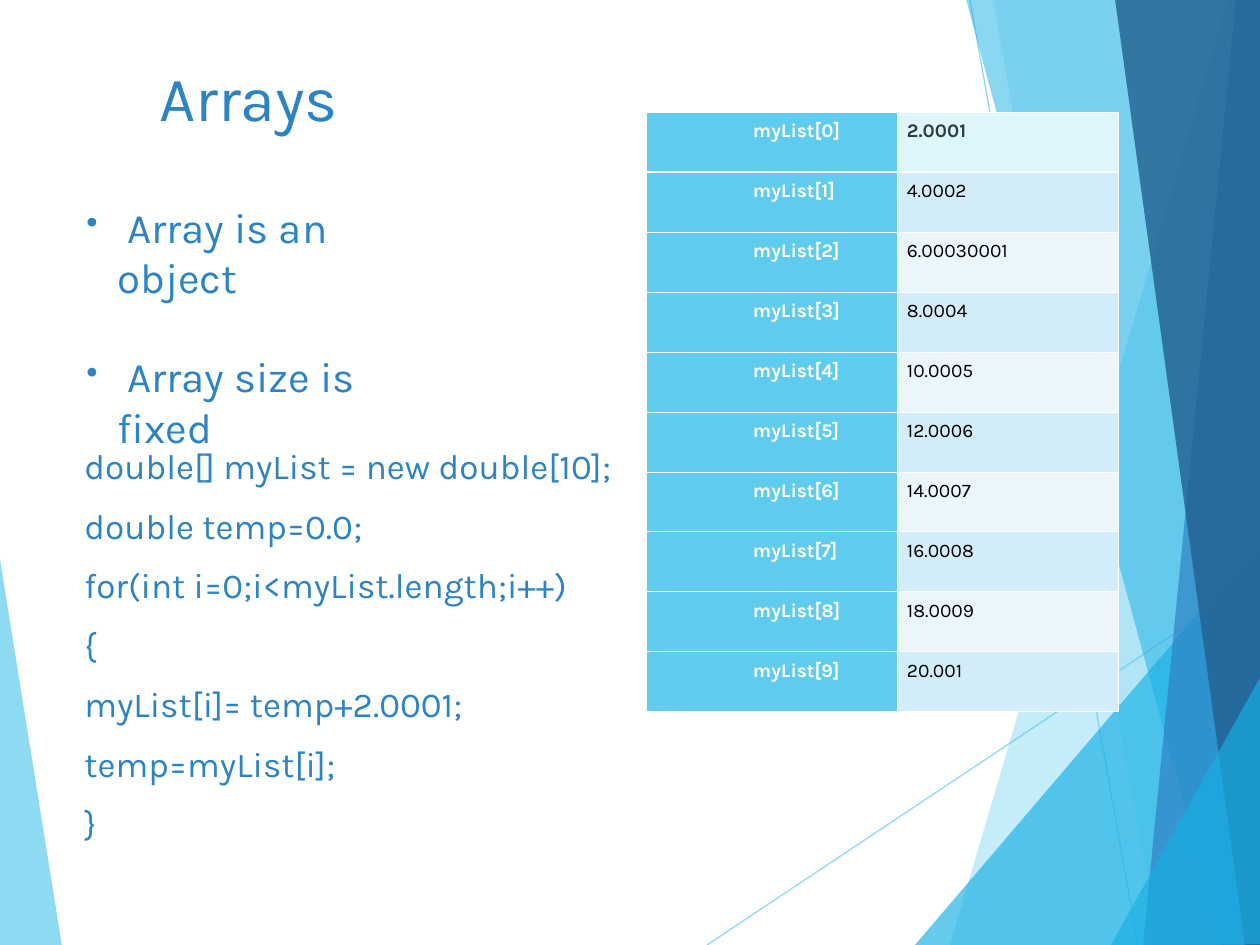
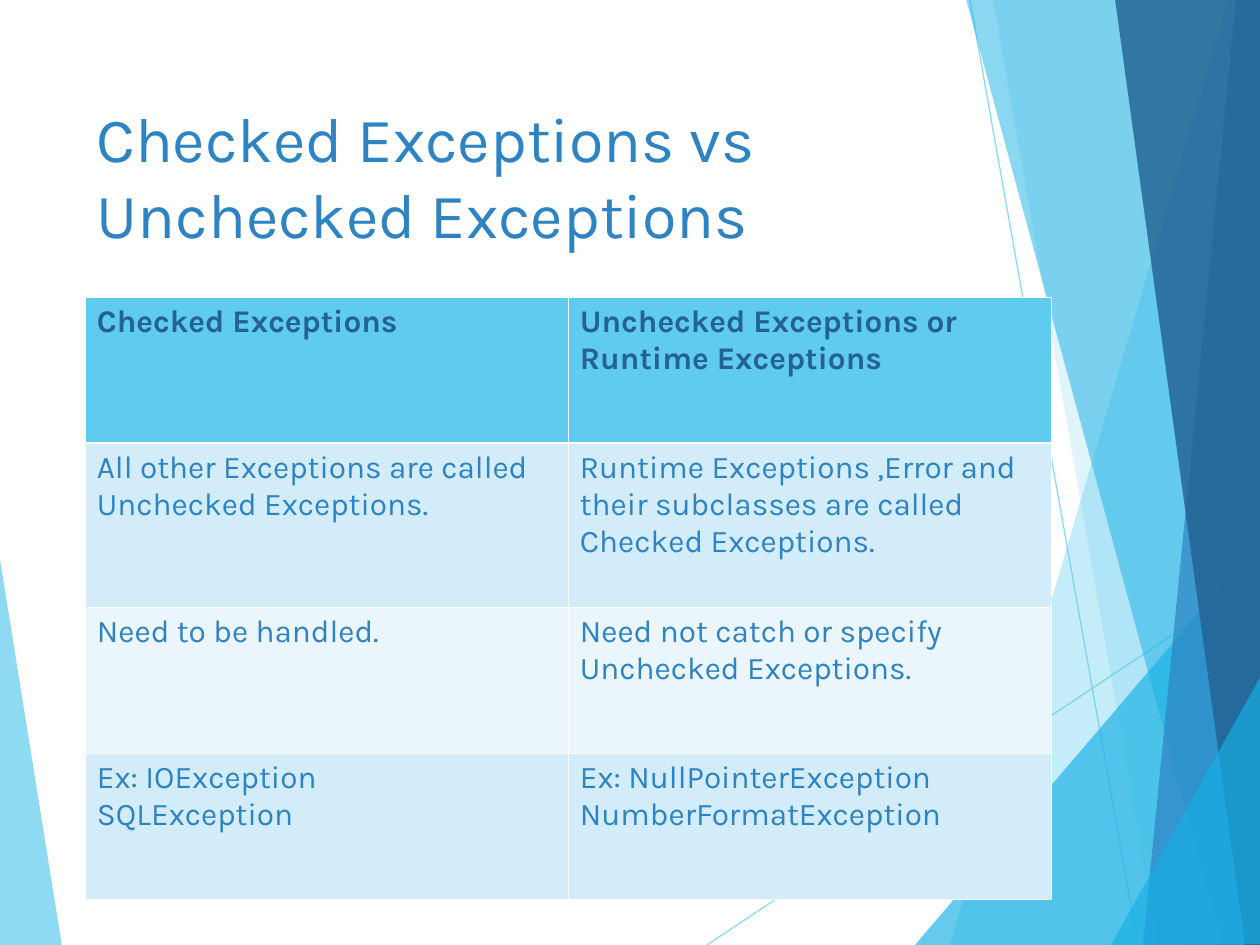
from pptx import Presentation
from pptx.dml.color import RGBColor
from pptx.enum.shapes import MSO_CONNECTOR
from pptx.enum.text import MSO_ANCHOR
from pptx.oxml.ns import qn
from pptx.util import Pt
from lxml import etree

STRAIGHT = MSO_CONNECTOR.STRAIGHT
TOP, MIDDLE, BOTTOM = MSO_ANCHOR.TOP, MSO_ANCHOR.MIDDLE, MSO_ANCHOR.BOTTOM
SCALE = 914400 / 126  # EMU in one px


class Theme:
    font = "Karla"
    sky, cyan, blue, navy = "5FCBEF", "17B0E4", "2E83C3", "236292"
    white, black, slate = "FFFFFF", "000000", "2C3C43"
    pale, band_dark, band_light = "DFF5FC", "D2ECF9", "EAF6FC"
    title, bullet, code, table, small = 36, 24, 20, 18, 11
    thin, thick, ray = 0.45, 1.47, 0.75


# Shared backdrop: (colour, opacity %, outline), back to front
LEFT_WING = (Theme.sky, 70, [(-1, 553), (62, 946), (-1, 945)])
RAYS = [((707, 945), (1261, 576)), ((970, 0), (1138, 945))]
RAY_OPACITY = 70
RIGHT_FACETS = [
    (Theme.sky, 36, [(1228, 0), (950, 945), (1262, 946), (1261, 1)]),
    (Theme.sky, 20, [(993, -1), (1158, 945), (1261, 945), (1261, -1)]),
    (Theme.cyan, 66, [(915, 945), (1260, 541), (1261, 945)]),
    (Theme.cyan, 50, [(966, -1), (1222, 945), (1261, 944), (1261, -1)]),
    (Theme.blue, 70, [(1236, -1), (1143, 945), (1261, 945), (1260, -1)]),
    (Theme.navy, 82, [(1115, -1), (1245, 945), (1262, 945), (1260, -1)]),
    (Theme.cyan, 66, [(1111, 945), (1262, 674), (1262, 944)]),
]

# Slide 1
ARRAY_FACTS = [" Array is an object", " Array size is fixed"]
ARRAY_CODE = [
    "double[] myList = new double[10];",
    "double temp=0.0;",
    "for(int i=0;i<myList.length;i++)",
    "{",
    "myList[i]= temp+2.0001;",
    "temp=myList[i];",
    "}",
]
ARRAY_VALUES = ["2.0001", "4.0002", "6.00030001", "8.0004", "10.0005",
                "12.0006", "14.0007", "16.0008", "18.0009", "20.001"]

# Slide 2
EXCEPTIONS = [
    ("Checked Exceptions", "Unchecked Exceptions or Runtime Exceptions"),
    ("All other Exceptions are called Unchecked Exceptions.",
     "Runtime Exceptions ,Error and their subclasses are called Checked Exceptions."),
    ("Need to be handled.", "Need not catch or specify Unchecked Exceptions."),
    ("Ex: IOException\nSQLException",
     "Ex: NullPointerException\nNumberFormatException"),
]


def px(n):
    return round(n * SCALE)


def rgb(color):
    return RGBColor.from_string(color)


def style(p, size, color, bold=False):
    f = p.font
    f.name, f.size, f.bold = Theme.font, Pt(size), bold
    f.color.rgb = rgb(color)


def set_alpha(s, percent):
    color = next(s.element.spPr.iter(qn("a:srgbClr")))
    etree.SubElement(color, qn("a:alpha"), val=str(percent * 1000))


def add_facet(slide, color, opacity, points):
    builder = slide.shapes.build_freeform(*points[0], scale=SCALE)
    builder.add_line_segments(points[1:], close=True)
    s = builder.convert_to_shape()
    s.shadow.inherit = False
    s.fill.solid()
    s.fill.fore_color.rgb = rgb(color)
    s.line.fill.background()
    set_alpha(s, opacity)


def add_ray(slide, start, end):
    s = slide.shapes.add_connector(STRAIGHT, *map(px, start + end))
    s.line.color.rgb = rgb(Theme.sky)
    s.line.width = Pt(Theme.ray)
    set_alpha(s, RAY_OPACITY)
    etree.SubElement(s.element.spPr, qn("a:effectLst"))


def move_backdrop_to_layout(slide, layout):
    """Draw the backdrop once and let every slide inherit it."""
    for ph in list(layout.placeholders):
        layout.shapes.element.remove(ph.element)
    add_facet(slide, *LEFT_WING)
    for start, end in RAYS:
        add_ray(slide, start, end)
    for facet in RIGHT_FACETS:
        add_facet(slide, *facet)
    for s in list(slide.shapes):
        layout.shapes.element.append(s.element)


def add_text(slide, box, lines, size, anchor=TOP, gap=0, wrap=True):
    tf = slide.shapes.add_textbox(*map(px, box)).text_frame
    tf.word_wrap, tf.vertical_anchor = wrap, anchor
    tf.text = "\n".join(lines)
    for i, p in enumerate(tf.paragraphs):
        style(p, size, Theme.blue)
        if i:
            p.space_before = Pt(gap)
    return tf


def add_title(slide, box, text):
    add_text(slide, box, [text], Theme.title, MIDDLE)


def add_bullet(p, hang):
    pPr = p._p.get_or_add_pPr()
    pPr.set("marL", str(px(hang)))
    pPr.set("indent", str(-px(hang)))
    color = etree.Element(qn("a:buClr"))
    etree.SubElement(color, qn("a:srgbClr"), val=Theme.blue)
    size = etree.Element(qn("a:buSzPct"), val="80000")
    char = etree.Element(qn("a:buChar"), char="•")
    at = next((i for i, el in enumerate(pPr) if el.tag == qn("a:defRPr")), len(pPr))
    pPr[at:at] = [color, size, char]


def set_borders(cell, row):
    """White rules, with a thicker one under the first row."""
    widths = {"lnL": Theme.thin, "lnR": Theme.thin,
              "lnT": Theme.thick if row == 1 else Theme.thin,
              "lnB": Theme.thick if row == 0 else Theme.thin}
    tcPr = cell._tc.get_or_add_tcPr()
    for tag, width in widths.items():
        ln = etree.SubElement(tcPr, qn(f"a:{tag}"), w=str(Pt(width)))
        fill = etree.SubElement(ln, qn("a:solidFill"))
        etree.SubElement(fill, qn("a:srgbClr"), val=Theme.white)


def add_table(slide, at, col_widths, row_heights, rows, size, look, margin):
    """look(row, col) gives the fill, text colour and weight of a cell."""
    box = (*at, sum(col_widths), sum(row_heights))
    table = slide.shapes.add_table(
        len(rows), len(col_widths), *map(px, box)).table
    for col, width in zip(table.columns, col_widths):
        col.width = px(width)
    for row, height in zip(table.rows, row_heights):
        row.height = px(height)
    for r, texts in enumerate(rows):
        for c, text in enumerate(texts):
            cell = table.cell(r, c)
            fill, color, bold = look(r, c)
            set_borders(cell, r)
            cell.fill.solid()
            cell.fill.fore_color.rgb = rgb(fill)
            cell.margin_left = cell.margin_right = px(margin)
            cell.text = text
            for p in cell.text_frame.paragraphs:
                style(p, size, color, bold)
    return table


def band(row):
    return Theme.band_dark if row % 2 else Theme.band_light


def array_look(row, col):
    if col == 0:
        return Theme.sky, Theme.white, True
    if row == 0:
        return Theme.pale, Theme.slate, True
    return band(row), Theme.black, False


def exception_look(row, col):
    if row == 0:
        return Theme.sky, Theme.navy, True
    return band(row), Theme.blue, False


def build_arrays(slide):
    add_title(slide, (147, 44, 1071, 105), "Arrays")
    facts = add_text(slide, (74, 195, 389, 164), ARRAY_FACTS, Theme.bullet, gap=28)
    for p in facts.paragraphs:
        add_bullet(p, hang=31)
    add_text(slide, (72, 379, 583, 471), ARRAY_CODE, Theme.code, BOTTOM,
             gap=10, wrap=False)

    rows = [(f"myList[{i}]", value) for i, value in enumerate(ARRAY_VALUES)]
    table = add_table(slide, (646, 112), (251, 221), [60] * len(rows), rows,
                      Theme.small, array_look, margin=10)
    for cell in table.iter_cells():
        cell.text_frame.paragraphs[0].line_spacing = 1.07
    for r in range(len(rows)):
        p = table.cell(r, 0).text_frame.paragraphs[0]
        p._p.get_or_add_pPr().set("marL", str(px(97)))


def build_exceptions(slide):
    add_title(slide, (84, 84, 874, 182),
              "Checked Exceptions vs Unchecked Exceptions")
    add_table(slide, (85, 297), (483, 483), (146, 164, 146, 146), EXCEPTIONS,
              Theme.table, exception_look, margin=12)


def main():
    prs = Presentation()
    prs.slide_width, prs.slide_height = px(1260), px(945)
    blank = prs.slide_layouts[6]
    arrays, exceptions = (prs.slides.add_slide(blank) for _ in range(2))
    move_backdrop_to_layout(arrays, blank)
    build_arrays(arrays)
    build_exceptions(exceptions)
    prs.save("out.pptx")


if __name__ == "__main__":
    main()
